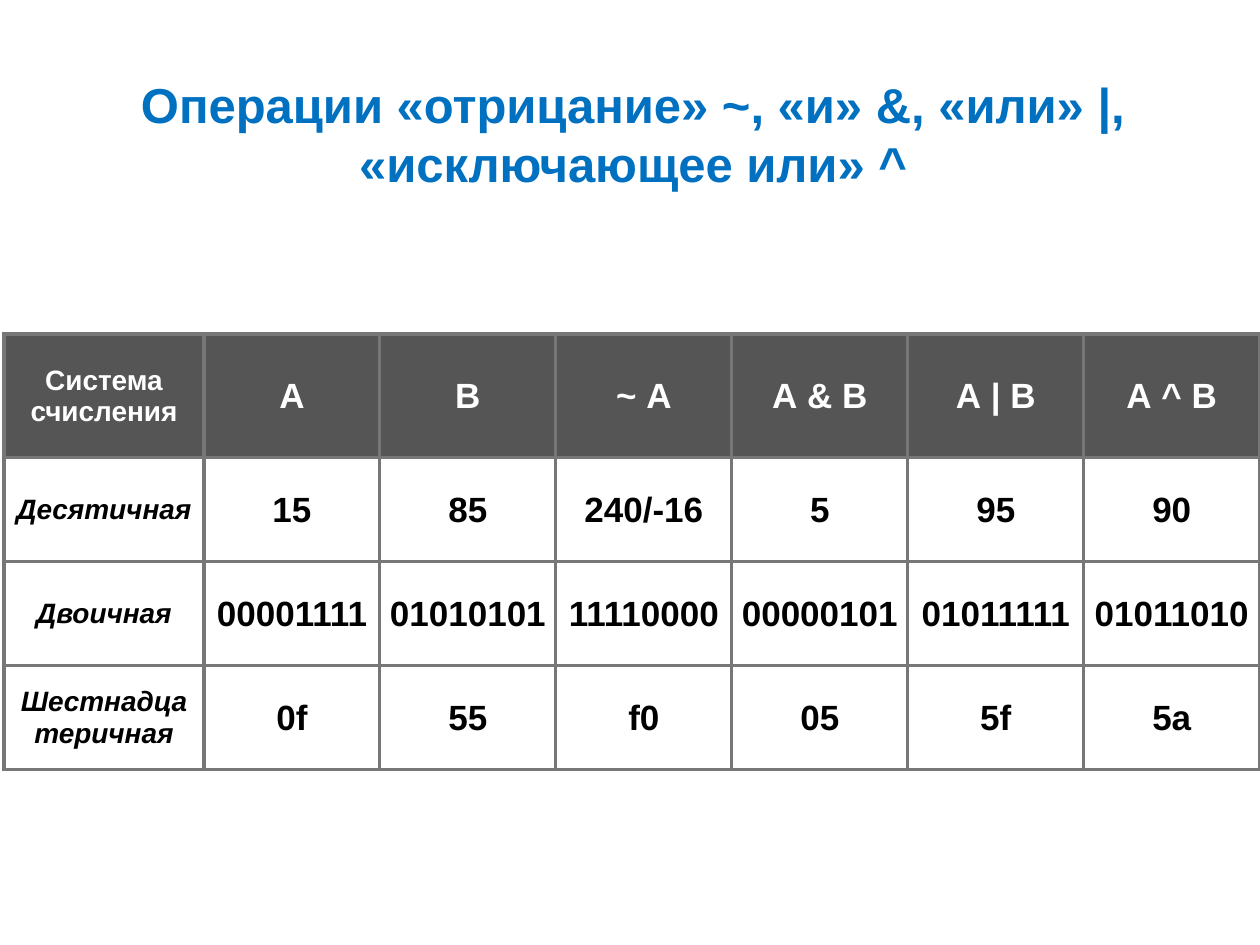
from dataclasses import dataclass
from lxml import etree
from pptx import Presentation
from pptx.dml.color import RGBColor as Rgb
from pptx.enum import text
from pptx.oxml.ns import qn
from pptx.util import Pt

PX = 914400 // 126  # EMU in one px


@dataclass(frozen=True)
class Theme:
    font: str = "Arial"
    blue: str = "0070C0"
    head: str = "555555"
    line: str = "777777"
    white: str = "FFFFFF"
    black: str = "000000"
    title: int = 28
    label: int = 16
    value: int = 20
    rule: int = 2


look = Theme()


def write(frame, words, size, color, slant=False):
    para = frame.paragraphs[0]
    para.alignment = text.PP_ALIGN.CENTER
    run = para.add_run()
    run.text = words
    form = {"name": look.font, "size": Pt(size), "bold": True, "italic": slant}
    for key, val in form.items():
        setattr(run.font, key, val)
    run.font.color.rgb = Rgb.from_string(color)


def edge(cell):
    props = cell._tc.get_or_add_tcPr()
    for side in ("lnL", "lnR", "lnT", "lnB"):
        line = etree.SubElement(props, qn(f"a:{side}"), w=str(Pt(look.rule)))
        fill = etree.SubElement(line, qn("a:solidFill"))
        etree.SubElement(fill, qn("a:srgbClr"), val=look.line)


deck = Presentation()
deck.slide_width, deck.slide_height = 1260 * PX, 945 * PX
slide = deck.slides.add_slide(deck.slide_layouts[6])

# Table of bitwise results
rows = [
    ["Система счисления", "А", "В", "~ А", "А & В", "А | В", "А ^ В"],
    ["Десятичная", "15", "85", "240/-16", "5", "95", "90"],
    ["Двоичная", "00001111", "01010101", "11110000", "00000101", "01011111", "01011010"],
    ["Шестнадцатеричная", "0f", "55", "f0", "05", "5f", "5a"],
]
wide = [200] + [176] * 6
high = [124] + [104] * 3
box = [n * PX for n in (4, 334, sum(wide), sum(high))]
grid = slide.shapes.add_table(len(rows), len(wide), *box).table
for col, size in zip(grid.columns, wide):
    col.width = size * PX
for row, size in zip(grid.rows, high):
    row.height = size * PX

for r, row in enumerate(rows):
    for c, words in enumerate(row):
        cell = grid.cell(r, c)
        pad = (6 if r == 0 else 4) * PX
        form = {
            "vertical_anchor": text.MSO_ANCHOR.MIDDLE,
            "margin_left": 6 * PX,
            "margin_right": 6 * PX,
            "margin_top": pad,
            "margin_bottom": pad,
        }
        for key, val in form.items():
            setattr(cell, key, val)
        edge(cell)
        if r == 0:
            cell.fill.solid()
            cell.fill.fore_color.rgb = Rgb.from_string(look.head)
        else:
            cell.fill.background()
        write(
            cell.text_frame,
            words,
            look.label if c == 0 else look.value,
            look.white if r == 0 else look.black,
            slant=r > 0 and c == 0,
        )

# Title
title = slide.shapes.add_textbox(*[n * PX for n in (5, 68, 1256, 131)]).text_frame
form = {
    "word_wrap": True,
    "auto_size": text.MSO_AUTO_SIZE.SHAPE_TO_FIT_TEXT,
    "vertical_anchor": text.MSO_ANCHOR.MIDDLE,
}
for key, val in form.items():
    setattr(title, key, val)
words = "Операции «отрицание» ~, «и» &, «или» |, «исключающее или» ^"
write(title, words, look.title, look.blue)

deck.save("out.pptx")
